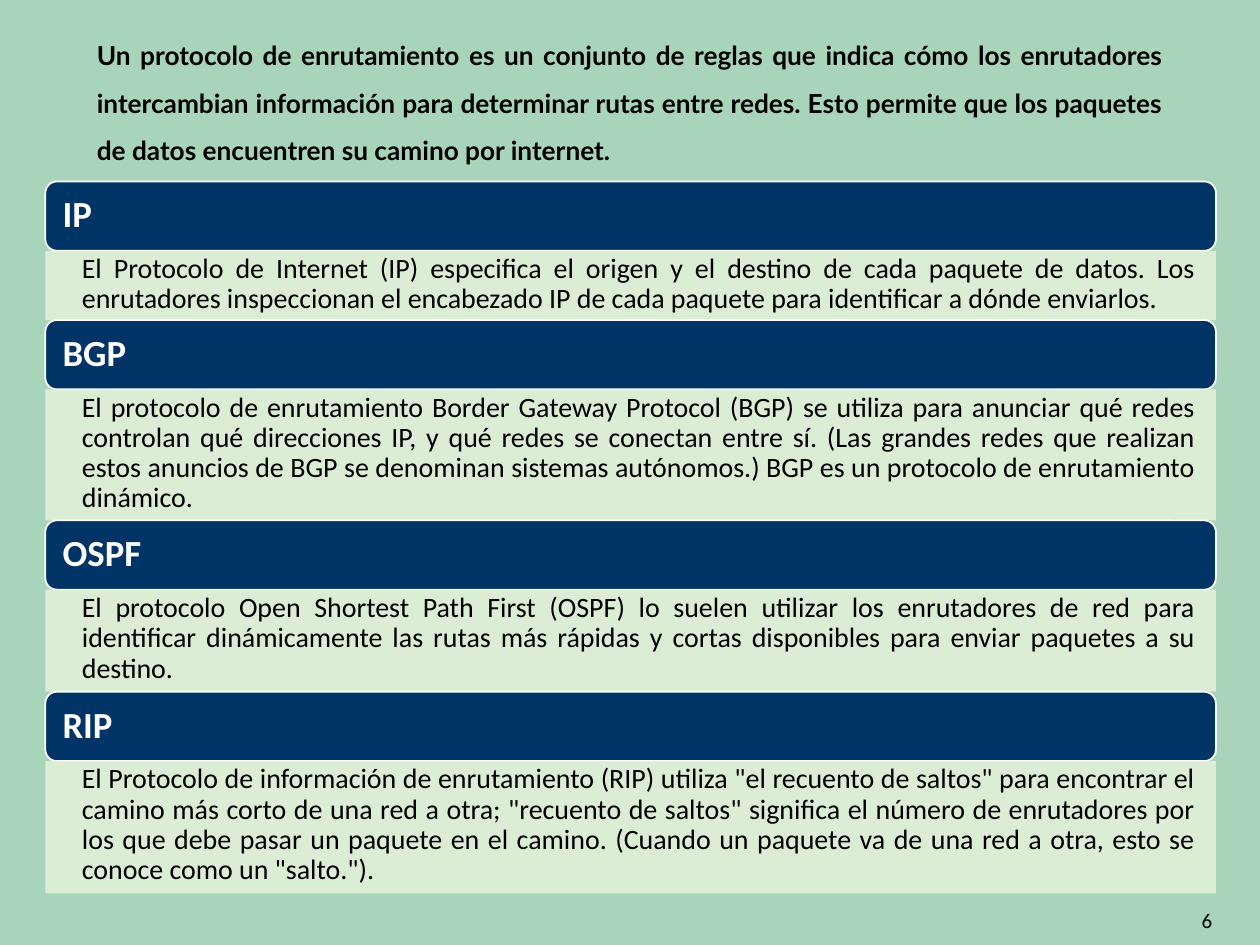
from lxml import etree
from pptx import Presentation
from pptx.dml.color import RGBColor
from pptx.enum.shapes import MSO_SHAPE
from pptx.enum.text import MSO_ANCHOR, PP_ALIGN
from pptx.oxml.ns import qn
from pptx.util import Inches, Pt

MINT = RGBColor(0xA8, 0xD5, 0xBA)
NAVY = RGBColor(0x00, 0x33, 0x66)
PALE_GREEN = RGBColor(0xE2, 0xF0, 0xD9)
WHITE = RGBColor(0xFF, 0xFF, 0xFF)
BLACK = RGBColor(0x00, 0x00, 0x00)

INTRO = (
    "Un protocolo de enrutamiento es un conjunto de reglas que indica cómo los "
    "enrutadores intercambian información para determinar rutas entre redes. Esto "
    "permite que los paquetes de datos encuentren su camino por internet."
)
# Name, height of the description in inches, description
PROTOCOLS = [
    ("IP", 0.55,
     "El Protocolo de Internet (IP) especifica el origen y el destino de cada paquete "
     "de datos. Los enrutadores inspeccionan el encabezado IP de cada paquete para "
     "identificar a dónde enviarlos."),
    ("BGP", 1.04,
     "El protocolo de enrutamiento Border Gateway Protocol (BGP) se utiliza para "
     "anunciar qué redes controlan qué direcciones IP, y qué redes se conectan entre "
     "sí. (Las grandes redes que realizan estos anuncios de BGP se denominan sistemas "
     "autónomos.) BGP es un protocolo de enrutamiento dinámico."),
    ("OSPF", 0.81,
     "El protocolo Open Shortest Path First (OSPF) lo suelen utilizar los enrutadores "
     "de red para identificar dinámicamente las rutas más rápidas y cortas disponibles "
     "para enviar paquetes a su destino."),
    ("RIP", 1.05,
     "El Protocolo de información de enrutamiento (RIP) utiliza \"el recuento de "
     "saltos\" para encontrar el camino más corto de una red a otra; \"recuento de "
     "saltos\" significa el número de enrutadores por los que debe pasar un paquete en "
     "el camino. (Cuando un paquete va de una red a otra, esto se conoce como un "
     "\"salto.\")."),
]
LEFT, WIDTH, HEADER_HEIGHT = 0.36, 9.29, 0.55


def write(shape, text, color, frame_format, paragraph_format, font_format):
    frame = shape.text_frame
    frame.word_wrap = True
    paragraph = frame.paragraphs[0]
    run = paragraph.add_run()
    run.text = text
    run.font.color.rgb = color
    for target, values in ((frame, frame_format), (paragraph, paragraph_format),
                           (run.font, font_format)):
        for attribute, value in values.items():
            setattr(target, attribute, value)


def add_panel(preset, top, height, fill_color):
    panel = slide.shapes.add_shape(
        preset, Inches(LEFT), Inches(top), Inches(WIDTH), Inches(height))
    panel.shadow.inherit = False
    panel.fill.solid()
    panel.fill.fore_color.rgb = fill_color
    return panel


prs = Presentation()
prs.slide_width, prs.slide_height = Inches(10), Inches(7.5)
slide = prs.slides.add_slide(prs.slide_layouts[6])
slide.background.fill.solid()
slide.background.fill.fore_color.rgb = MINT

intro = slide.shapes.add_textbox(Inches(0.67), Inches(0.14), Inches(8.66), Inches(1.18))
write(intro, INTRO, BLACK, {},
      {"alignment": PP_ALIGN.JUSTIFY, "line_spacing": 1.5},
      {"name": "Lato", "size": Pt(15), "bold": True})

page_number = slide.shapes.add_textbox(Inches(7.47), Inches(7.1), Inches(2.25), Inches(0.4))
write(page_number, "6", BLACK, {"vertical_anchor": MSO_ANCHOR.MIDDLE},
      {"alignment": PP_ALIGN.RIGHT}, {"name": "Calibri", "size": Pt(12)})

header_frame = {
    "vertical_anchor": MSO_ANCHOR.MIDDLE,
    "margin_left": Inches(0.11), "margin_right": Inches(0.11),
    "margin_top": Inches(0.09), "margin_bottom": Inches(0.09),
}
description_frame = {
    "vertical_anchor": MSO_ANCHOR.TOP,
    "margin_left": Inches(0.29), "margin_right": Inches(0.16),
    "margin_top": Inches(0.03), "margin_bottom": Inches(0.03),
}

top = 1.44
for name, description_height, description_text in PROTOCOLS:
    header = add_panel(MSO_SHAPE.ROUNDED_RECTANGLE, top, HEADER_HEIGHT, NAVY)
    header.line.color.rgb = WHITE
    header.line.width = Pt(1)
    write(header, name, WHITE, header_frame,
          {"alignment": PP_ALIGN.LEFT, "line_spacing": 0.9},
          {"name": "Calibri", "size": Pt(21), "bold": True})
    top += HEADER_HEIGHT

    description = add_panel(MSO_SHAPE.RECTANGLE, top, description_height, PALE_GREEN)
    description.line.fill.background()
    fill_color = description.fill._xPr.find(qn("a:solidFill"))[0]
    etree.SubElement(fill_color, qn("a:alpha"), val="90000")
    write(description, description_text, BLACK, description_frame,
          {"alignment": PP_ALIGN.JUSTIFY, "line_spacing": 0.9},
          {"name": "Calibri", "size": Pt(16)})
    top += description_height

prs.save("out.pptx")
